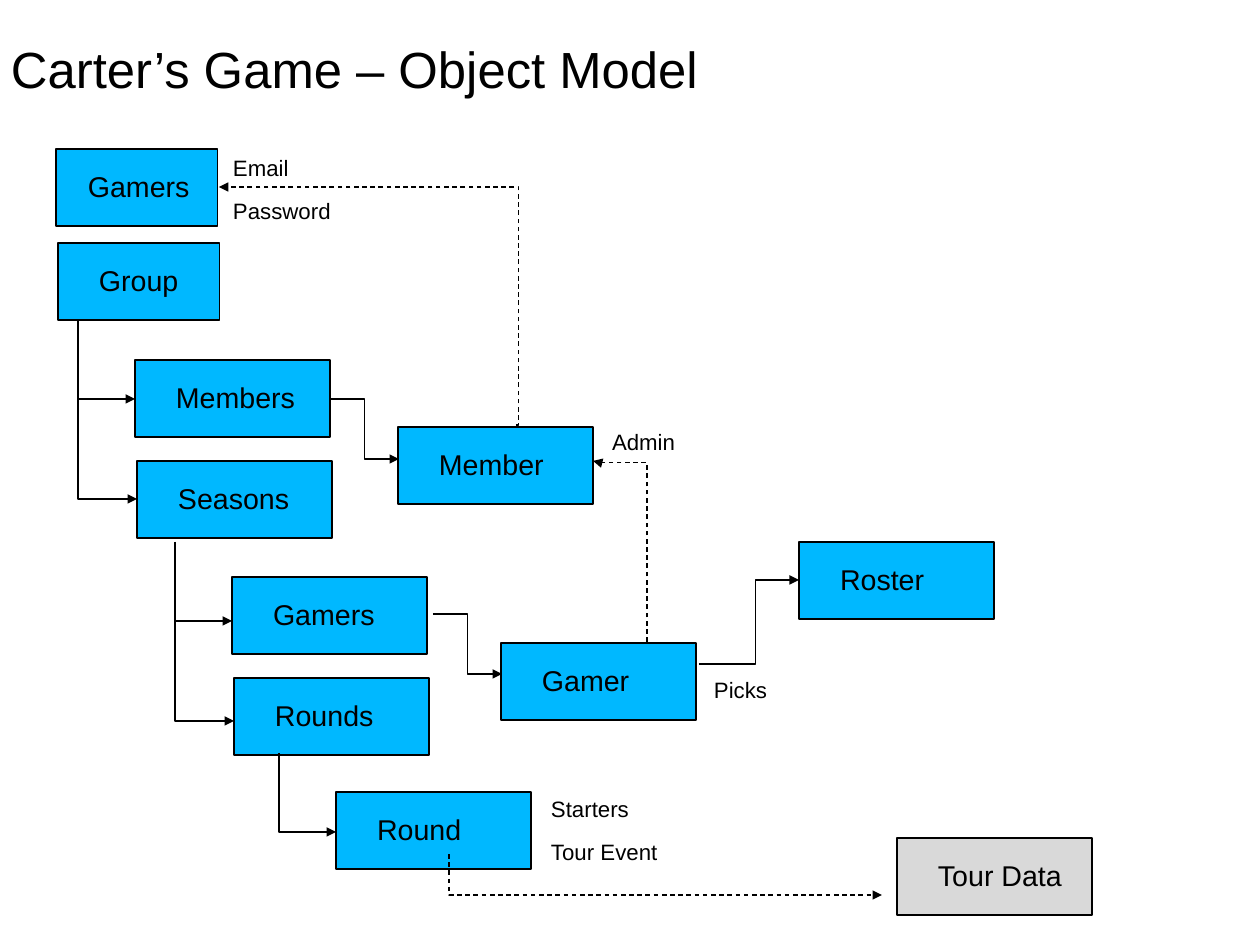
from dataclasses import dataclass

from lxml.etree import SubElement
from pptx import Presentation
from pptx.dml.color import RGBColor as Rgb
from pptx.enum.dml import MSO_LINE
from pptx.enum.shapes import MSO_CONNECTOR, MSO_SHAPE
from pptx.enum.text import MSO_ANCHOR as Anchor, PP_ALIGN as Align
from pptx.oxml.ns import qn
from pptx.util import Emu, Pt


@dataclass(frozen=True)
class Theme:
    """Colours and type sizes of the slide."""
    ink: Rgb = Rgb(0x00, 0x00, 0x00)
    model: Rgb = Rgb(0x00, 0xB8, 0xFF)
    external: Rgb = Rgb(0xD9, 0xD9, 0xD9)
    font: str = "Arial"
    title: int = 32
    entity: int = 18
    attribute: int = 14
    stroke: float = 0.75
    leading: float = 0.93


THEME = Theme()
EMU_PER_PX = 8000
SLIDE = (1260, 945)
INSET = 11
SMALL, LARGE = (162, 77), (195, 77)
ATTRIBUTE_SIZE, ATTRIBUTE_STEP = (150, 37), 43

ENTITIES = [
    ("Gamers", (56, 149), SMALL, 32, THEME.model),
    ("Group", (58, 243), SMALL, 41, THEME.model),
    ("Members", (135, 360), LARGE, 41, THEME.model),
    ("Seasons", (137, 461), LARGE, 41, THEME.model),
    ("Gamers", (232, 577), LARGE, 41, THEME.model),
    ("Rounds", (234, 678), LARGE, 41, THEME.model),
    ("Member", (398, 427), LARGE, 41, THEME.model),
    ("Gamer", (501, 643), LARGE, 41, THEME.model),
    ("Round", (336, 792), LARGE, 41, THEME.model),
    ("Roster", (799, 542), LARGE, 41, THEME.model),
    ("Tour Data", (897, 838), LARGE, 41, THEME.external),
]
ATTRIBUTES = [
    ((222, 151), ["Email", "Password"]),
    ((601, 425), ["Admin"]),
    ((703, 673), ["Picks"]),
    ((540, 792), ["Starters", "Tour Event"]),
]
BRANCHES = [
    ((78, 320), [(135, 399), (137, 499)]),
    ((175, 542), [(232, 621), (234, 721)]),
    ((279, 753), [(336, 832)]),
]
ITEM_LINKS = [
    ((330, 399), (399, 459), 0.5),
    ((433, 614), (502, 674), 0.5),
    ((699, 664), (799, 580), 0.57),
]


def px(length):
    """Turn px into EMU."""
    return Emu(int(length * EMU_PER_PX))


def write(shape, text, size, left=INSET, top=0, anchor=Anchor.MIDDLE):
    """Set one left-aligned line of text in a shape."""
    frame = shape.text_frame
    frame.word_wrap = True
    frame.vertical_anchor = anchor
    frame.margin_left, frame.margin_top = px(left), px(top)
    frame.margin_right = frame.margin_bottom = 0
    paragraph = frame.paragraphs[0]
    paragraph.alignment = Align.LEFT
    paragraph.line_spacing = THEME.leading
    run = paragraph.add_run()
    run.text = text
    run.font.name = THEME.font
    run.font.size = Pt(size)
    run.font.color.rgb = THEME.ink


def title_bar(slide, box, text):
    """Place the slide title in its box."""
    title = slide.shapes.add_textbox(*map(px, box))
    write(title, text, THEME.title, top=3)


def entity(slide, box, name, indent, colour):
    """Draw one object of the model with its name."""
    block = slide.shapes.add_shape(MSO_SHAPE.RECTANGLE, *map(px, box))
    block.shadow.inherit = False
    block.fill.solid()
    block.fill.fore_color.rgb = colour
    block.line.color.rgb = THEME.ink
    block.line.width = Pt(THEME.stroke)
    write(block, name, THEME.entity, left=indent)


def attribute_list(slide, corner, names):
    """Stack attribute names downwards from a corner."""
    left, top = corner
    for row, name in enumerate(names):
        box = (left, top + row * ATTRIBUTE_STEP, *ATTRIBUTE_SIZE)
        label = slide.shapes.add_textbox(*map(px, box))
        write(label, name, THEME.attribute, top=6, anchor=Anchor.TOP)


def link(slide, start, end, bend=None, upright=False, dashed=False):
    """Draw an elbow arrow; an upright one leaves its start vertically."""
    ends = (*start, *end)
    if upright:
        across, down = end[0] - start[0], end[1] - start[1]
        mid_x, mid_y = (start[0] + end[0]) / 2, (start[1] + end[1]) / 2
        ends = (mid_x + down / 2, mid_y - across / 2,
                mid_x - down / 2, mid_y + across / 2)
    arrow = slide.shapes.add_connector(MSO_CONNECTOR.ELBOW, *map(px, ends))
    arrow.line.color.rgb = THEME.ink
    arrow.line.width = Pt(THEME.stroke)
    if dashed:
        arrow.line.dash_style = MSO_LINE.DASH
    properties = arrow._element.spPr
    if upright:
        properties.find(qn("a:xfrm")).set("rot", "16200000")
    geometry = properties.find(qn("a:prstGeom"))
    if bend is None:
        geometry.set("prst", "bentConnector2")
    else:
        SubElement(geometry.find(qn("a:avLst")), qn("a:gd"),
                   name="adj1", fmla=f"val {round(bend * 100000)}")
    SubElement(properties.find(qn("a:ln")), qn("a:tailEnd"), type="triangle")
    SubElement(properties, qn("a:effectLst"))


def object_model(slide):
    """Draw the objects, their attributes and the links between them."""
    for name, corner, size, indent, colour in ENTITIES:
        entity(slide, (*corner, *size), name, indent, colour)
    for corner, names in ATTRIBUTES:
        attribute_list(slide, corner, names)
    for trunk, children in BRANCHES:
        for child in children:
            link(slide, trunk, child, upright=True)
    for collection, item, bend in ITEM_LINKS:
        link(slide, collection, item, bend)
    link(slide, (449, 854), (882, 895), bend=0, dashed=True)
    link(slide, (516, 425), (219, 187), bend=-0.01, dashed=True)
    link(slide, (647, 642), (593, 461), bend=0.99, upright=True, dashed=True)


def main():
    """Build and save the slide."""
    deck = Presentation()
    deck.slide_width, deck.slide_height = map(px, SLIDE)
    slide = deck.slides.add_slide(deck.slide_layouts[6])
    title_bar(slide, (0, -7, SLIDE[0], 155), "Carter’s Game – Object Model")
    object_model(slide)
    deck.save("out.pptx")


if __name__ == "__main__":
    main()
